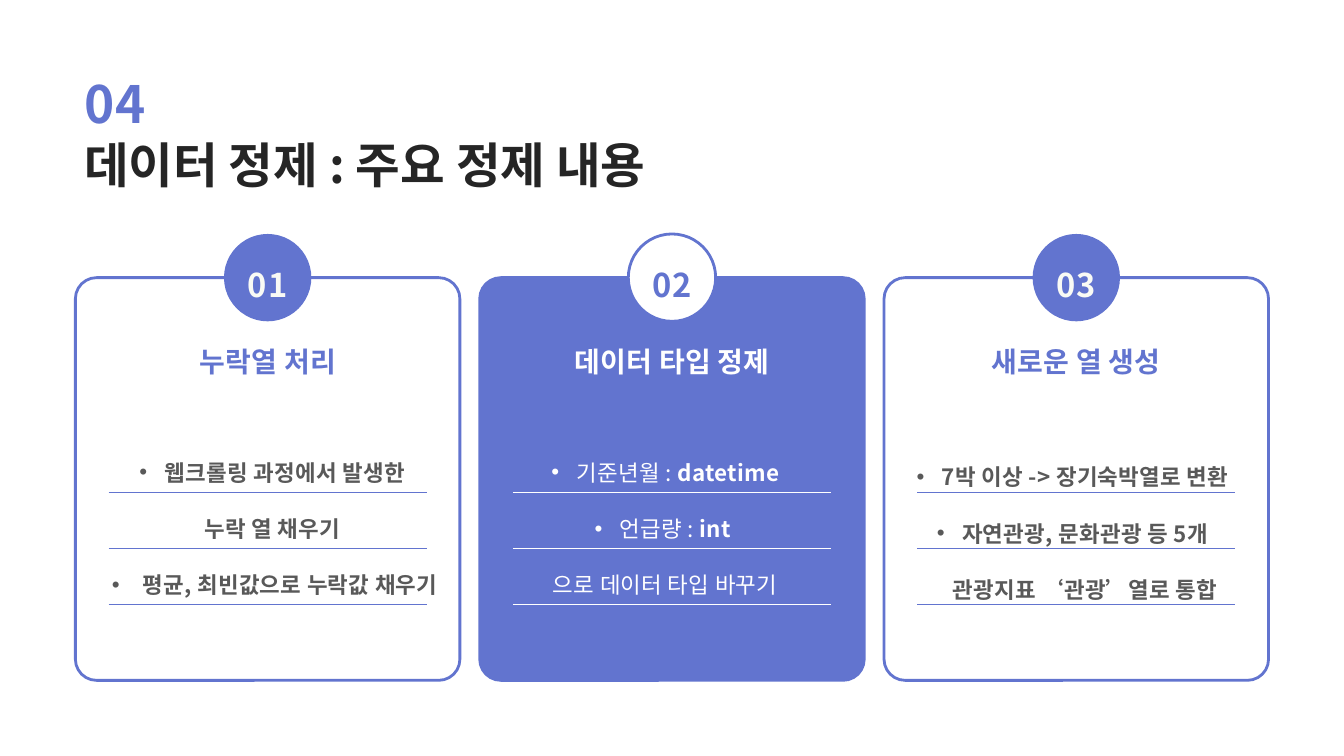
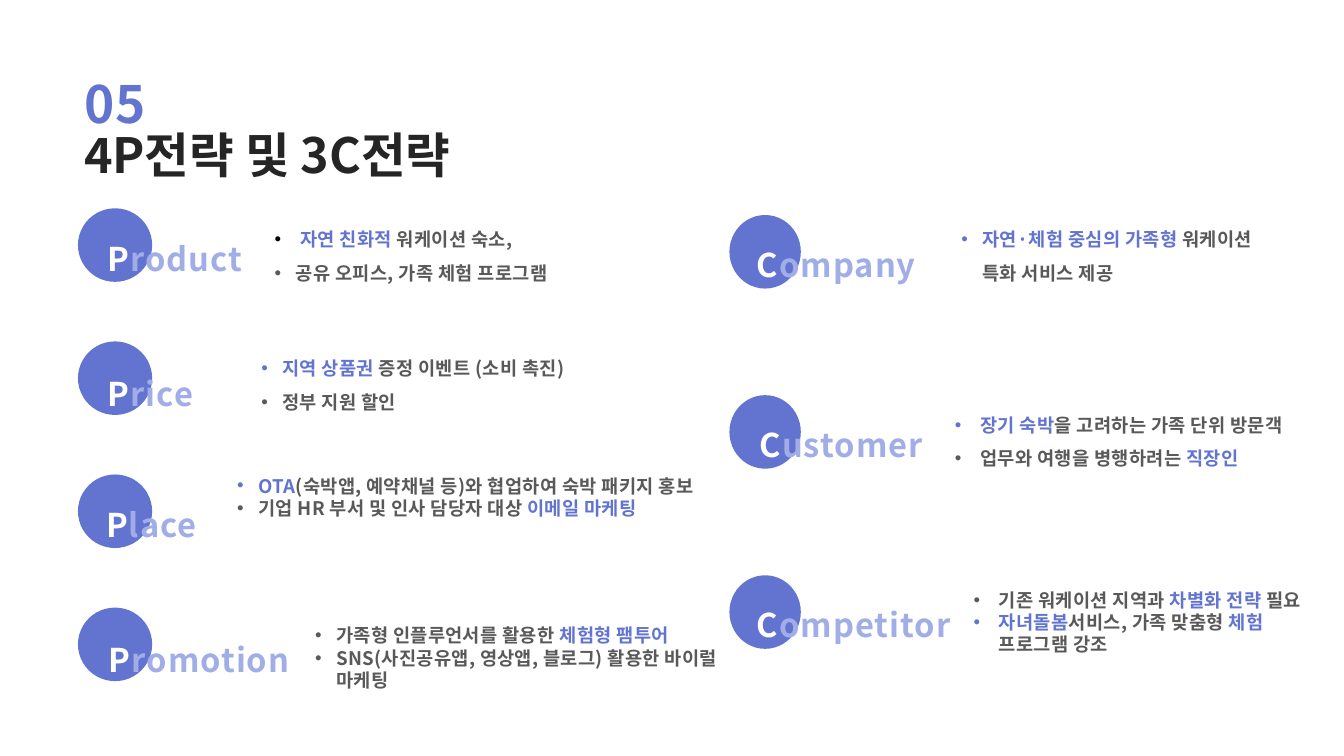
from dataclasses import dataclass

from lxml import etree
from pptx import Presentation
from pptx.dml.color import RGBColor
from pptx.enum.shapes import MSO_CONNECTOR, MSO_SHAPE
from pptx.enum.text import MSO_ANCHOR, MSO_AUTO_SIZE, PP_ALIGN
from pptx.oxml.ns import qn
from pptx.util import Pt

BLUE = RGBColor(0x62, 0x74, 0xCF)
PALE_BLUE = RGBColor(0xA1, 0xAD, 0xE6)
DARK = RGBColor(0x25, 0x25, 0x25)
GRAY = RGBColor(0x59, 0x59, 0x59)
IVORY = RGBColor(0xF9, 0xFA, 0xF5)
WHITE = RGBColor(0xFF, 0xFF, 0xFF)
BLACK = RGBColor(0, 0, 0)

FONT = "Noto Sans CJK KR"
SLIDE_WIDTH, SLIDE_HEIGHT = 1440, 810
TITLE_ONLY = 5
MARGIN = 90

CARD_PITCH, CARD_TOP, CARD_WIDTH, CARD_HEIGHT = 433.2, 297.5, 412, 431.5
BADGE_SIZE = 93.6
RULE_WIDTH = 341
RULE_TOPS = (527, 587.8, 648)


@dataclass
class TextStyle:
    size: float
    line_spacing: object = 1.0
    tracking: float = 0
    align: object = PP_ALIGN.LEFT
    indent: float = 0
    inset: tuple = (0, 0)


@dataclass
class Paragraph:
    """Runs are (text, colour) or (text, colour, bold)."""
    runs: list
    bulleted: bool = False


NUMBER = TextStyle(55, Pt(110), 1.3)
BADGE = TextStyle(35, Pt(70), 1.1, PP_ALIGN.CENTER)
HEADING = TextStyle(30, Pt(37.5), 0.3, PP_ALIGN.CENTER)
CARD_BODY = TextStyle(24, Pt(60.3), 0.3, PP_ALIGN.CENTER, 27)


def strategy_style(line_spacing, indent):
    return TextStyle(20, line_spacing, 0.3, indent=indent, inset=(7.2, 3.6))


def line(*runs):
    return Paragraph(list(runs))


def bullet(*runs):
    return Paragraph(list(runs), True)


def set_attributes(target, values):
    for name, value in values.items():
        setattr(target, name, value)


def points(box):
    return [Pt(value) for value in box]


def add_bullet(paragraph, indent):
    properties = paragraph._p.get_or_add_pPr()
    properties.set("marL", str(Pt(indent)))
    properties.set("indent", str(-Pt(indent)))
    etree.SubElement(properties, qn("a:buFont")).set("typeface", "Arial")
    etree.SubElement(properties, qn("a:buChar")).set("char", "•")


def add_run(paragraph, style, text, colour, bold=True):
    run = paragraph.add_run()
    run.text = text
    set_attributes(run.font, {"name": FONT, "size": Pt(style.size), "bold": bold})
    run.font.color.rgb = colour
    properties = run._r.get_or_add_rPr()
    properties.set("spc", str(round(style.tracking * 100)))
    etree.SubElement(properties, qn("a:ea")).set("typeface", FONT)


def fill_text(frame, style, paragraphs):
    side, end = points(style.inset)
    set_attributes(frame, {
        "word_wrap": True, "auto_size": MSO_AUTO_SIZE.NONE,
        "vertical_anchor": MSO_ANCHOR.TOP,
        "margin_left": side, "margin_right": side,
        "margin_top": end, "margin_bottom": end,
    })
    for index, content in enumerate(paragraphs):
        paragraph = frame.add_paragraph() if index else frame.paragraphs[0]
        set_attributes(paragraph, {"alignment": style.align,
                                   "line_spacing": style.line_spacing})
        if content.bulleted:
            add_bullet(paragraph, style.indent)
        for run in content.runs:
            add_run(paragraph, style, *run)


def add_text(slide, box, style, *paragraphs):
    text_box = slide.shapes.add_textbox(*points(box))
    fill_text(text_box.text_frame, style, paragraphs)


def add_shape(slide, preset, box, fill=None, outline=None):
    shape = slide.shapes.add_shape(preset, *points(box))
    shape.shadow.inherit = False
    if fill is None:
        shape.fill.background()
    else:
        shape.fill.solid()
        shape.fill.fore_color.rgb = fill
    if outline is None:
        shape.line.fill.background()
    else:
        shape.line.color.rgb = outline
        shape.line.width = Pt(3)
    return shape


def add_rule(slide, left, top, colour):
    rule = slide.shapes.add_connector(
        MSO_CONNECTOR.STRAIGHT, *points((left, top, left + RULE_WIDTH, top)))
    rule.line.color.rgb = colour
    rule.line.width = Pt(0.75)
    etree.SubElement(rule._element.spPr, qn("a:effectLst"))


def add_titled_slide(presentation, number, title, width, height, line_spacing):
    slide = presentation.slides.add_slide(presentation.slide_layouts[TITLE_ONLY])
    placeholder = slide.shapes.title
    set_attributes(placeholder, {
        "left": Pt(MARGIN), "top": Pt(103),
        "width": Pt(width), "height": Pt(height),
    })
    fill_text(placeholder.text_frame, TextStyle(52, line_spacing), [line((title, DARK))])
    add_text(slide, (MARGIN, 33, 110, 98.6), NUMBER, line((number, BLUE)))
    return slide


def add_card(slide, index, heading, body_box, body, filled=False):
    center = SLIDE_WIDTH / 2 + (index - 1) * CARD_PITCH
    accent = WHITE if filled else BLUE
    card = add_shape(slide, MSO_SHAPE.ROUNDED_RECTANGLE,
                     (center - CARD_WIDTH / 2, CARD_TOP, CARD_WIDTH, CARD_HEIGHT),
                     BLUE if filled else None, BLUE)
    card.adjustments[0] = 0.055
    add_shape(slide, MSO_SHAPE.OVAL,
              (center - BADGE_SIZE / 2, CARD_TOP - BADGE_SIZE / 2, BADGE_SIZE, BADGE_SIZE),
              WHITE if filled else BLUE, BLUE if filled else None)
    add_text(slide, (center - 31.3, 255.6, 62.6, 62.6), BADGE,
             line((f"{index + 1:02}", BLUE if filled else IVORY)))
    add_text(slide, body_box, CARD_BODY, *body)
    add_text(slide, (center - 131, 367.2, 262, 37.5), HEADING, line((heading, accent)))
    for top in RULE_TOPS:
        add_rule(slide, center - RULE_WIDTH / 2, top, accent)


def add_strategy(slide, circle, word, word_box, text_box, style, paragraphs):
    add_shape(slide, MSO_SHAPE.OVAL, circle, BLUE)
    left, top, width = word_box
    add_text(slide, (left, top, width, 70.6), BADGE,
             line((word[0], WHITE), (word[1:], PALE_BLUE)))
    add_text(slide, text_box, style, *paragraphs)


def build_cleaning_slide(presentation):
    slide = add_titled_slide(presentation, "04", "데이터 정제 : 주요 정제 내용",
                             698.4, 105, Pt(104))
    add_card(slide, 0, "누락열 처리", (59, 460, 471, 181.4), [
        bullet(("웹크롤링 과정에서 발생한 ", GRAY)),
        line(("누락 열 채우기 ", GRAY)),
        bullet((" 평균, 최빈값으로 누락값 채우기", GRAY)),
    ])
    add_card(slide, 1, "데이터 타입 정제", (589, 460, 247.7, 181.4), [
        bullet(("기준년월 : ", WHITE, False), ("datetime", WHITE)),
        bullet(("언급량 : ", WHITE, False), ("int ", WHITE)),
        line(("으로 데이터 타입 바꾸기", WHITE, False)),
    ], filled=True)
    add_card(slide, 2, "새로운 열 생성", (964.8, 465, 368.6, 181.4), [
        bullet(("7박 이상 -> 장기숙박열로 변환", GRAY)),
        bullet(("자연관광, 문화관광 등 5개 관광지표 ‘관광’열로 통합", GRAY)),
    ])


def build_strategy_slide(presentation):
    slide = add_titled_slide(presentation, "05", "4P전략 및 3C전략", 633, 85.7, 1.5)
    loose, tight = strategy_style(1.5, 22.5), strategy_style(1.0, 22.5)
    four_p = [
        ("Product", (56.9, 227.5, 261.4), (287.3, 229, 396, 76.3), loose, [
            bullet((" ", BLACK, False), ("자연 친화적 ", BLUE), ("워케이션 숙소,", GRAY)),
            bullet(("공유 오피스, 가족 체험 프로그램", GRAY)),
        ]),
        ("Price", (49.7, 372.2, 223.2), (272.9, 367.2, 424, 76.3), loose, [
            bullet(("지역 상품권 ", BLUE), ("증정 이벤트 (소비 촉진)", GRAY)),
            bullet(("정부 지원 할인", GRAY)),
        ]),
        ("Place", (51.8, 512.6, 221), (247, 504.7, 517, 80), tight, [
            bullet(("OTA", BLUE), ("(숙박앱, 예약채널 등)와 협업하여 숙박 패키지 홍보", GRAY)),
            bullet(("기업 HR 부서 및 인사 담당자 대상 ", GRAY), ("이메일 마케팅", BLUE)),
        ]),
        ("Promotion", (49, 657.4, 329), (330.5, 665.3, 446.4, 80), tight, [
            bullet(("가족형 인플루언서를 활용한 ", GRAY), ("체험형 팸투어", BLUE)),
            bullet(("SNS(사진공유앱, 영상앱, 블로그) 활용한 바이럴 마케팅", GRAY)),
        ]),
    ]
    three_c = [
        ("Company", (756, 234.7, 280), (1023, 229, 329.8, 76.3), loose, [
            bullet(("자연·체험 중심의 가족형 ", BLUE), ("워케이션 특화 서비스 제공", GRAY)),
        ]),
        ("Customer", (756, 427.7, 290.9), (1016, 427.7, 398.2, 76.3),
         strategy_style(1.5, 27), [
            bullet(("장기 숙박", BLUE), ("을 고려하는 가족 단위 방문객", GRAY)),
            bullet(("업무와 여행을 병행하려는 ", GRAY), ("직장인", BLUE)),
        ]),
        ("Competitor", (756.7, 620, 316), (1036, 627, 377.3, 80),
         strategy_style(1.0, 27), [
            bullet(("기존 워케이션 지역과 ", GRAY), ("차별화 전략 ", BLUE), ("필요", GRAY)),
            bullet(("자녀돌봄", BLUE), ("서비스, 가족 맞춤형 ", GRAY),
                   ("체험 ", BLUE), ("프로그램 강조", GRAY)),
        ]),
    ]
    columns = [(four_p, 83.5, 223.2, 142.6, 79.5), (three_c, 781.5, 230.4, 193, 76.5)]
    for strategies, left, top, pitch, width in columns:
        for row, strategy in enumerate(strategies):
            add_strategy(slide, (left, top + row * pitch, width, 78.8), *strategy)


def main():
    presentation = Presentation()
    presentation.slide_width = Pt(SLIDE_WIDTH)
    presentation.slide_height = Pt(SLIDE_HEIGHT)
    build_cleaning_slide(presentation)
    build_strategy_slide(presentation)
    presentation.save("out.pptx")


if __name__ == "__main__":
    main()
